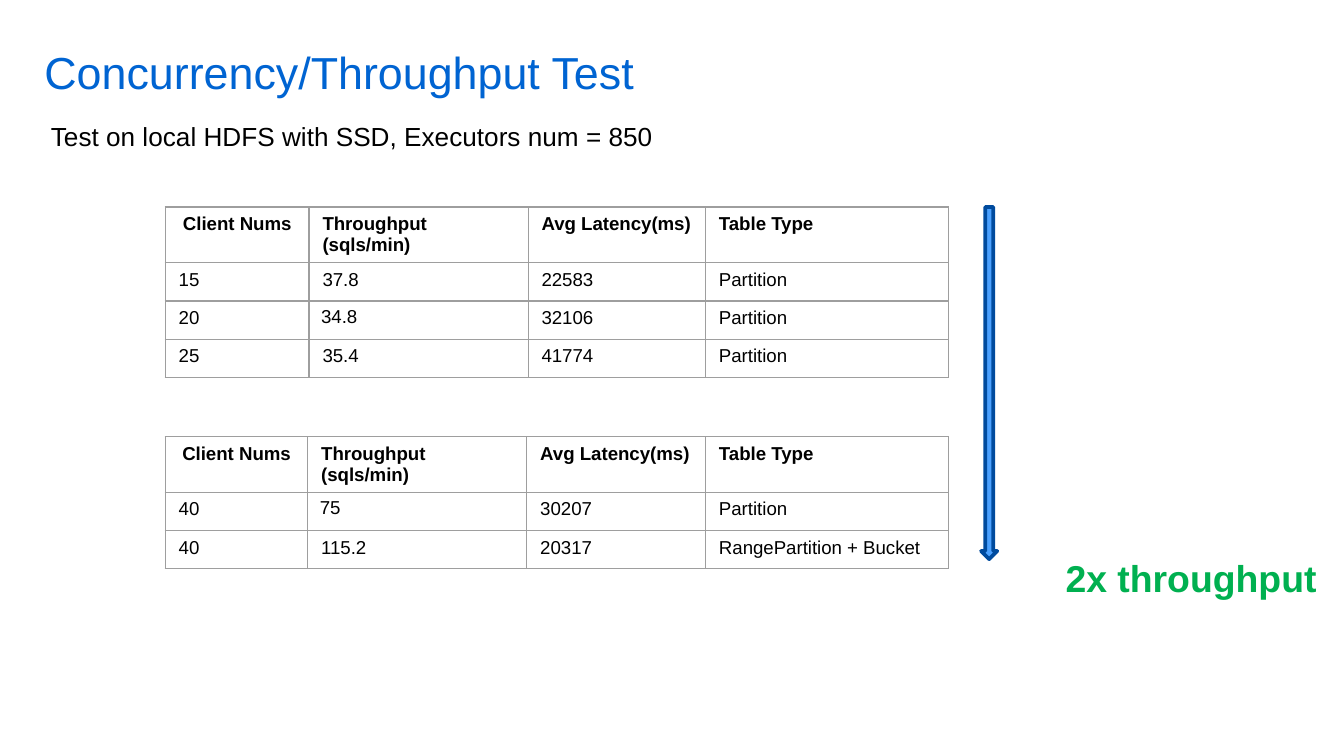
from dataclasses import dataclass

from pptx import Presentation
from pptx.dml.color import RGBColor
from pptx.enum.shapes import MSO_SHAPE
from pptx.enum.text import MSO_ANCHOR, MSO_AUTO_SIZE, PP_ALIGN
from pptx.oxml import parse_xml
from pptx.oxml.ns import nsdecls
from pptx.util import Inches, Pt


@dataclass(frozen=True)
class Theme:
    font: str = "Arial"
    title: str = "0064D2"
    text: str = "000000"
    accent: str = "00B050"
    grid: str = "9E9E9E"
    arrow_fill: str = "4BA1FF"
    arrow_line: str = "004B9E"
    title_size: int = 24
    callout_size: int = 20
    subtitle_size: int = 14
    table_size: int = 10
    grid_width: float = 0.75
    arrow_width: float = 2


THEME = Theme()

# Content
TITLE = "Concurrency/Throughput Test"
SUBTITLE = "Test on local HDFS with SSD, Executors num = 850"
CALLOUT = "2x throughput"
HEADERS = ("Client Nums", "Throughput (sqls/min)", "Avg Latency(ms)", "Table Type")
TABLES = [
    {
        "top": 1.54,
        "height": 1.14,
        "columns": (1.07, 1.63, 1.32, 1.81),
        "rows": [
            ("15", "37.8", "22583", "Partition"),
            ("20", "34.8", "32106", "Partition"),
            ("25", "35.4", "41774", "Partition"),
        ],
    },
    {
        "top": 3.25,
        "height": 0.85,
        "columns": (1.06, 1.63, 1.33, 1.81),
        "rows": [
            ("40", "75", "30207", "Partition"),
            ("40", "115.2", "20317", "RangePartition + Bucket"),
        ],
    },
]
TIGHT_VALUES = {"34.8", "75"}  # cells with narrower margins
TABLE_LEFT = 1.23


def add_text(frame, text, size, color, bold=False, align=PP_ALIGN.LEFT):
    para = frame.paragraphs[0]
    para.alignment = align
    span = para.add_run()
    span.text = text
    span.font.name = THEME.font
    span.font.size = Pt(size)
    span.font.bold = bold
    span.font.color.rgb = RGBColor.from_string(color)


def add_label(page, place, *text_style):
    box = page.shapes.add_textbox(*map(Inches, place))
    box.text_frame.word_wrap = True
    box.text_frame.auto_size = MSO_AUTO_SIZE.SHAPE_TO_FIT_TEXT
    add_text(box.text_frame, *text_style)


def add_borders(cell):
    properties = cell._tc.get_or_add_tcPr()
    for position, side in enumerate(("lnL", "lnR", "lnT", "lnB")):
        border = parse_xml(
            f'<a:{side} {nsdecls("a")} w="{Pt(THEME.grid_width)}"><a:solidFill>'
            f'<a:srgbClr val="{THEME.grid}"/></a:solidFill></a:{side}>'
        )
        properties.insert(position, border)


def add_results(page, top, height, columns, rows):
    lines = [HEADERS, *rows]
    place = (TABLE_LEFT, top, sum(columns), height)
    table = page.shapes.add_table(len(lines), len(columns), *map(Inches, place)).table
    table.horz_banding = False
    for column, width in zip(table.columns, columns):
        column.width = Inches(width)
    for row, values in zip(table.rows, lines):
        row.height = Inches(height / len(lines))
        header = values is HEADERS
        for index, (cell, value) in enumerate(zip(row.cells, values)):
            tight = value in TIGHT_VALUES
            cell.margin_left = cell.margin_right = Inches(0.09 if tight else 0.1)
            cell.margin_top = Inches(0.04 if tight else 0.05)
            cell.margin_bottom = Inches(0.03)
            cell.fill.background()
            add_borders(cell)
            align = PP_ALIGN.CENTER if header and index == 0 else PP_ALIGN.LEFT
            add_text(cell.text_frame, value, THEME.table_size, THEME.text, header, align)


# Widescreen page, 16:9
deck = Presentation()
deck.slide_width = Inches(10)
deck.slide_height = deck.slide_width * 9 // 16
page = deck.slides.add_slide(deck.slide_layouts[5])

# Title and subtitle
title = page.shapes.title
title.left, title.top, title.width, title.height = map(Inches, (0.23, 0.23, 9.25, 0.76))
frame = title.text_frame
frame.vertical_anchor = MSO_ANCHOR.TOP
frame.margin_left = frame.margin_right = Inches(0.1)
frame.margin_top = frame.margin_bottom = Inches(0.1)
add_text(frame, TITLE, THEME.title_size, THEME.title)
add_label(page, (0.28, 0.85, 4.69, 0.34), SUBTITLE, THEME.subtitle_size, THEME.text)

# Result tables
for results in TABLES:
    add_results(page, **results)

# Arrow and callout
arrow = page.shapes.add_shape(
    MSO_SHAPE.DOWN_ARROW, *map(Inches, (7.3, 1.54, 0.12, 2.62))
)
arrow.shadow.inherit = False
arrow.fill.solid()
arrow.fill.fore_color.rgb = RGBColor.from_string(THEME.arrow_fill)
arrow.line.color.rgb = RGBColor.from_string(THEME.arrow_line)
arrow.line.width = Pt(THEME.arrow_width)
add_label(page, (7.83, 4.08, 2.17, 0.44), CALLOUT, THEME.callout_size, THEME.accent, True)

deck.save("out.pptx")
